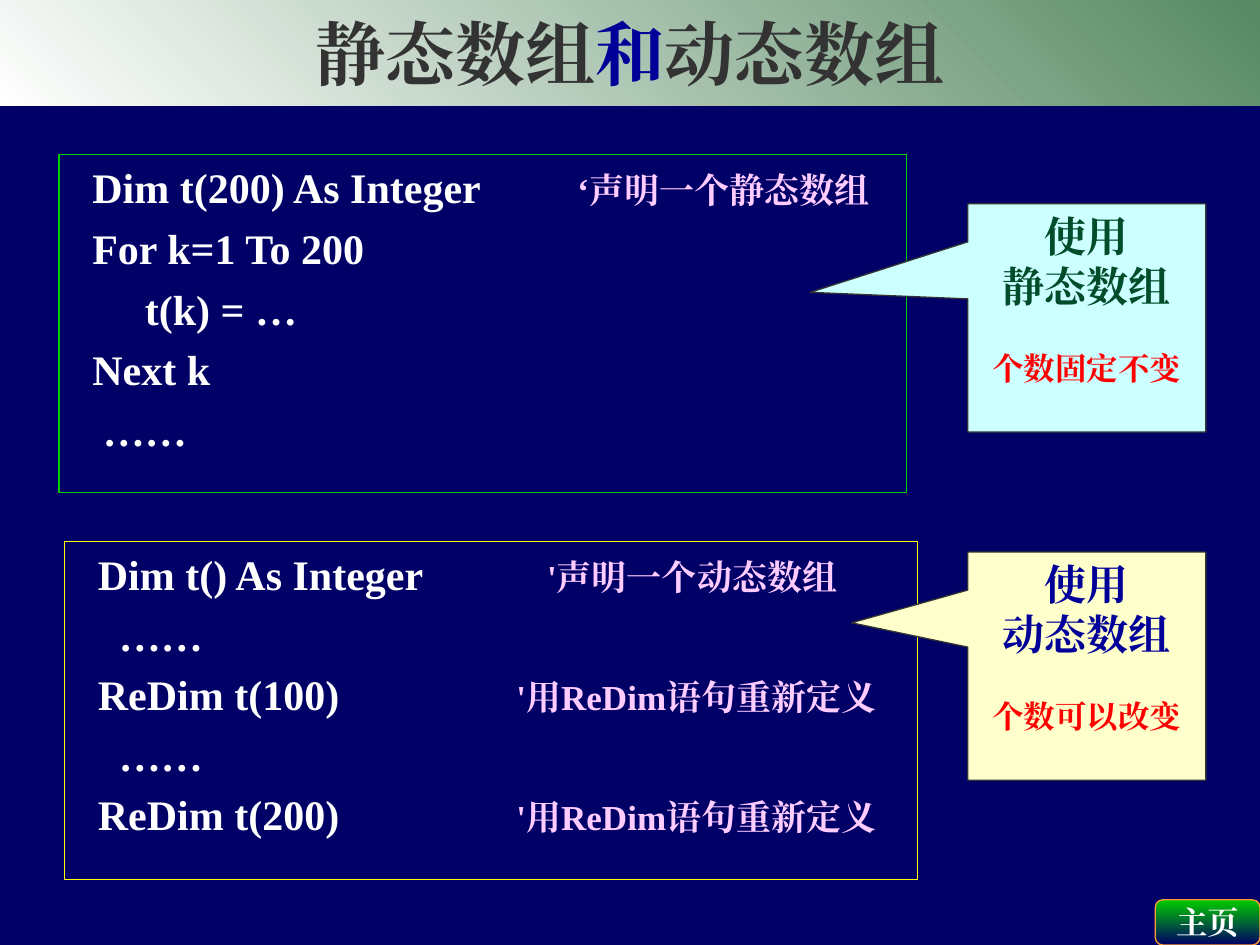
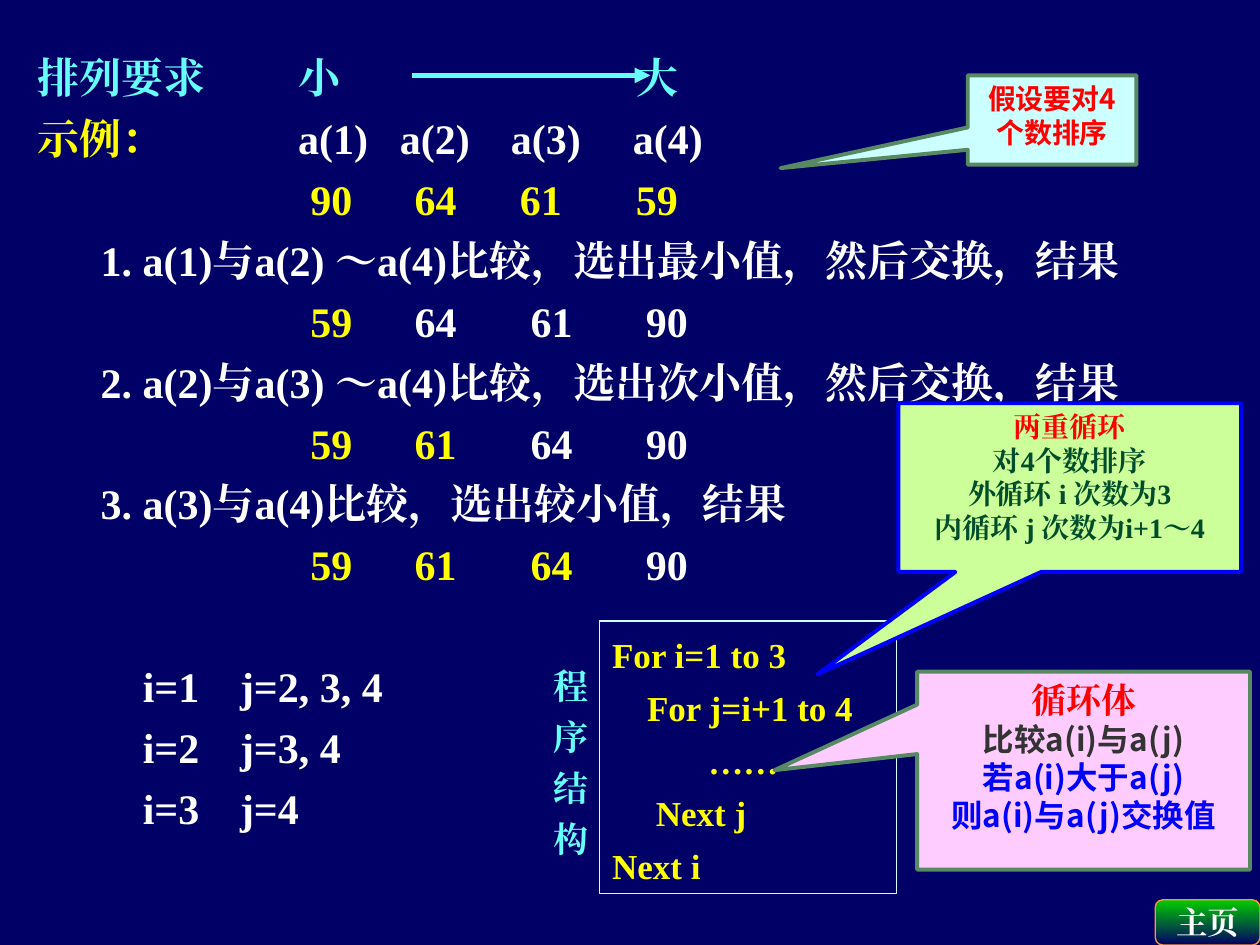
"""Build two slides on static and dynamic arrays and on selection sorting."""
from lxml import etree
from pptx import Presentation
from pptx.dml.color import RGBColor
from pptx.enum.shapes import MSO_CONNECTOR, MSO_SHAPE as Preset
from pptx.enum.text import MSO_ANCHOR as Anchor, MSO_AUTO_SIZE as AutoSize, PP_ALIGN as Align
from pptx.oxml.ns import qn
from pptx.util import Cm, Pt

COLORS = {
    "navy": "000066", "white": "FFFFFF", "green": "00CC00", "orange": "FF9933",
    "moss": "578963", "gray": "333333", "indigo": "000099", "yellow": "FFFF00",
    "pink": "FFCCFF", "ice": "CCFFFF", "cream": "FFFFCC", "forest": "004C2B",
    "red": "FF0000", "cyan": "66FFFF", "lime": "CCFF99", "blue": "0000FF",
}
SERIF, SANS = "Times New Roman", "Noto Sans CJK SC"
LINE_HEIGHT = 1.2


def line(*runs, size=24, tabs=(), before=0.0, spacing=1.0, font=SERIF):
    """Describe one paragraph made of (text, colour[, size]) runs."""
    return dict(runs=runs, size=size, tabs=tabs, before=before, spacing=spacing, font=font)


def code(text, comment="", tab=0.0, before=6):
    """Describe a line of code with an optional comment at a tab stop."""
    if not comment:
        return line((text, "white"), before=before)
    return line((text + "\t", "white"), (comment, "pink", 20), tabs=[tab], before=before)


def usage(kind, note, color):
    """Describe the text of a callout on array usage."""
    return [line(("使用", color)), line((kind, color)),
            line((note, "red"), size=18, before=21.6)]


TITLE = [line(("静态数组", "gray"), ("和", "indigo"), ("动态数组", "gray"), size=40)]
BUTTON = [line(("主页", "white"), size=18)]
REDEFINE = "'用ReDim语句重新定义"
STATIC_CODE = [
    code("  Dim t(200) As Integer", "‘声明一个静态数组", 10.2),
    code("  For k=1 To 200"),
    code("       t(k) = …"),
    code("  Next k"),
    code("   ……"),
]
DYNAMIC_CODE = [
    code("  Dim t() As Integer", "'声明一个动态数组", 9.48),
    code("    ……"),
    code("  ReDim t(100)", REDEFINE, 8.86, 5),
    code("    ……"),
    code("  ReDim t(200)", REDEFINE, 8.86, 5),
]
ARRAY_BOXES = [
    ((1.19, 3.12, 17.09, 6.81), "green", STATIC_CODE),
    ((1.3, 10.92, 17.2, 6.81), "yellow", DYNAMIC_CODE),
]
ARRAY_CALLOUTS = [
    ((19.51, 4.11, 4.8, 4.6), (-1.162, -0.112), "ice", "gray", 0.75,
     usage("静态数组", "个数固定不变", "forest")),
    ((19.51, 11.13, 4.8, 4.6), (-0.988, -0.19), "cream", "gray", 0.75,
     usage("动态数组", "个数可以改变", "indigo")),
]

NAME_TABS = [5.25, 7.3, 9.54, 12.0]
START_TABS = [5.5, 7.6, 9.72, 12.06]
VALUE_TABS = [5.5, 7.6, 9.94, 12.26]
STEP_TABS = [1.27]
LOOP_TABS = [2.12, 4.08]


def values(numbers, marked, tabs=VALUE_TABS):
    """Describe a row of array values, with the marked ones in yellow."""
    runs = [(f"\t{number}", "yellow" if place in marked else "white")
            for place, number in enumerate(numbers)]
    return line(*runs, tabs=tabs, before=6)


def step(text):
    """Describe a numbered step of the sort."""
    return line(("\t" + text, "white"), tabs=STEP_TABS, before=6)


def loop(outer, inner, before=6):
    """Describe the inner loop values for one outer loop value."""
    return line((f"\ti={outer}\tj={inner}", "white"), tabs=LOOP_TABS, before=before)


SORT_STEPS = [
    line(("排列要求\t小\t大", "cyan"), tabs=[5.25, 12.08]),
    line(("示例：", "yellow"), ("\ta(1)\ta(2)\ta(3)\ta(4)", "white"), tabs=NAME_TABS, before=6),
    values([90, 64, 61, 59], range(4), START_TABS),
    step("1. a(1)与a(2) ～a(4)比较，选出最小值，然后交换，结果"),
    values([59, 64, 61, 90], [0]),
    step("2. a(2)与a(3) ～a(4)比较，选出次小值，然后交换，结果"),
    values([59, 61, 64, 90], [0, 1]),
    step("3. a(3)与a(4)比较，选出较小值，结果"),
    values([59, 61, 64, 90], [0, 1, 2]),
    loop(1, "2, 3, 4", 40.8),
    loop(2, "3, 4"),
    loop(3, "4"),
]
LOOP_CODE = [
    line((text, "yellow"), size=20, spacing=1.15, before=2.5 if place else 0)
    for place, text in enumerate(
        ["For i=1 to 3", "    For j=i+1 to 4", "           ……", "     Next j", "Next i"])
]
LOOP_LABEL = [line((sign, "cyan"), size=20, spacing=0.7, before=12.5 if place else 0)
              for place, sign in enumerate("程序结构")]
SORT_CALLOUTS = [
    ((18.49, 13.54, 6.71, 3.99), (-0.929, -0.002), "pink", "moss", 2.25,
     [line(("循环体", "red"), size=20)]
     + [line((text, color), size=18, font=SANS) for text, color in [
         ("比较a(i)与a(j)", "gray"), ("若a(i)大于a(j)", "blue"), ("则a(i)与a(j)交换值", "blue")]]),
    ((19.51, 1.52, 3.4, 1.8), (-1.61, 0.539), "ice", "moss", 2.25,
     [line(("假设要对4个数排序", "red"), size=16, font=SANS)]),
    ((18.11, 8.13, 6.91, 3.4), (-0.736, 1.107), "lime", "blue", 2.25,
     [line((text, color), size=16) for text, color in [
         ("两重循环", "red"), ("对4个数排序", "forest"),
         ("外循环 i 次数为3", "forest"), ("内循环 j 次数为i+1～4", "forest")]]),
]


def rgb(name):
    """Return a named colour."""
    return RGBColor.from_string(COLORS[name])


def assign(target, settings):
    """Set attributes from a dict."""
    for name, value in settings.items():
        setattr(target, name, value)


def write(shape, lines, align=Align.LEFT, anchor=Anchor.TOP, wrap=True, right=0.25):
    """Fill a shape with the described paragraphs."""
    frame = shape.text_frame
    assign(frame, dict(word_wrap=wrap, auto_size=AutoSize.NONE, vertical_anchor=anchor,
                       margin_left=Cm(0.25), margin_right=Cm(right),
                       margin_top=Cm(0.13), margin_bottom=Cm(0.13)))
    for place, item in enumerate(lines):
        para = frame.add_paragraph() if place else frame.paragraphs[0]
        height = item["size"] * LINE_HEIGHT * item["spacing"]
        assign(para, dict(alignment=align, space_before=Pt(item["before"]),
                          line_spacing=Pt(round(height, 1))))
        if item["tabs"]:
            stops = etree.SubElement(para._p.get_or_add_pPr(), qn("a:tabLst"))
            for stop in item["tabs"]:
                etree.SubElement(stops, qn("a:tab"), pos=str(Cm(stop)), algn="l")
        for text, color, *size in item["runs"]:
            span = para.add_run()
            span.text = text
            assign(span.font, dict(name=item["font"], bold=True,
                                   size=Pt(size[0] if size else item["size"])))
            span.font.color.rgb = rgb(color)
            etree.SubElement(span._r.get_or_add_rPr(), qn("a:ea"), typeface=item["font"])


def blend(shape, colors, angle):
    """Give a shape a two-colour gradient."""
    shape.fill.gradient()
    shape.fill.gradient_angle = angle
    for stop, color in zip(shape.fill.gradient_stops, colors):
        stop.color.rgb = rgb(color)


def add_box(page, place, border, width=0.75, fill=None, preset=Preset.RECTANGLE):
    """Add an outlined preset shape."""
    box = page.shapes.add_shape(preset, *map(Cm, place))
    box.shadow.inherit = False
    box.line.color.rgb = rgb(border)
    box.line.width = Pt(width)
    if fill:
        box.fill.solid()
        box.fill.fore_color.rgb = rgb(fill)
    else:
        box.fill.background()
    return box


def add_callouts(page, callouts):
    """Add centred speech callouts."""
    for place, tip, fill, border, width, lines in callouts:
        box = add_box(page, place, border, width, fill, Preset.RECTANGULAR_CALLOUT)
        box.adjustments[0], box.adjustments[1] = tip
        write(box, lines, Align.CENTER)


def add_text(page, place, lines):
    """Add plain text without an outline."""
    write(page.shapes.add_textbox(*map(Cm, place)), lines)


def add_page(deck, layout):
    """Add a slide with the shared home button."""
    page = deck.slides.add_slide(deck.slide_layouts[layout])
    button = add_box(page, (23.29, 18.14, 2.11, 0.91), "orange", preset=Preset.ROUNDED_RECTANGLE)
    blend(button, ("green", "navy"), 270)
    write(button, BUTTON, Align.CENTER, Anchor.MIDDLE, wrap=False)
    return page


def build_arrays(deck):
    """Build the slide that compares both kinds of array."""
    page = add_page(deck, 5)
    title = page.shapes.title
    assign(title, dict(left=Cm(0), top=Cm(0), width=deck.slide_width, height=Cm(2.13)))
    blend(title, ("white", "moss"), 45)
    write(title, TITLE, Align.CENTER, Anchor.MIDDLE)
    for place, border, lines in ARRAY_BOXES:
        write(add_box(page, place, border), lines, right=0)
    add_callouts(page, ARRAY_CALLOUTS)


def build_sort(deck):
    """Build the slide that explains the sort."""
    page = add_page(deck, 6)
    add_text(page, (0.51, 0.91, 24.71, 17.4), SORT_STEPS)
    arrow = page.shapes.add_connector(
        MSO_CONNECTOR.STRAIGHT, Cm(8.31), Cm(1.52), Cm(13.11), Cm(1.52))
    arrow.line.color.rgb = rgb("cyan")
    arrow.line.width = Pt(3)
    etree.SubElement(arrow.line._get_or_add_ln(), qn("a:tailEnd"), type="triangle")
    etree.SubElement(arrow._element.spPr, qn("a:effectLst"))
    write(add_box(page, (12.09, 12.52, 5.99, 5.49), "ice"), LOOP_CODE)
    add_text(page, (10.9, 13.51, 1.4, 3.96), LOOP_LABEL)
    add_callouts(page, SORT_CALLOUTS)


def main():
    """Build and save the deck."""
    deck = Presentation()
    assign(deck, dict(slide_width=Cm(25.4), slide_height=Cm(19.05)))
    backdrop = deck.slide_master.background.fill
    backdrop.solid()
    backdrop.fore_color.rgb = rgb("navy")
    build_arrays(deck)
    build_sort(deck)
    deck.save("out.pptx")


if __name__ == "__main__":
    main()
